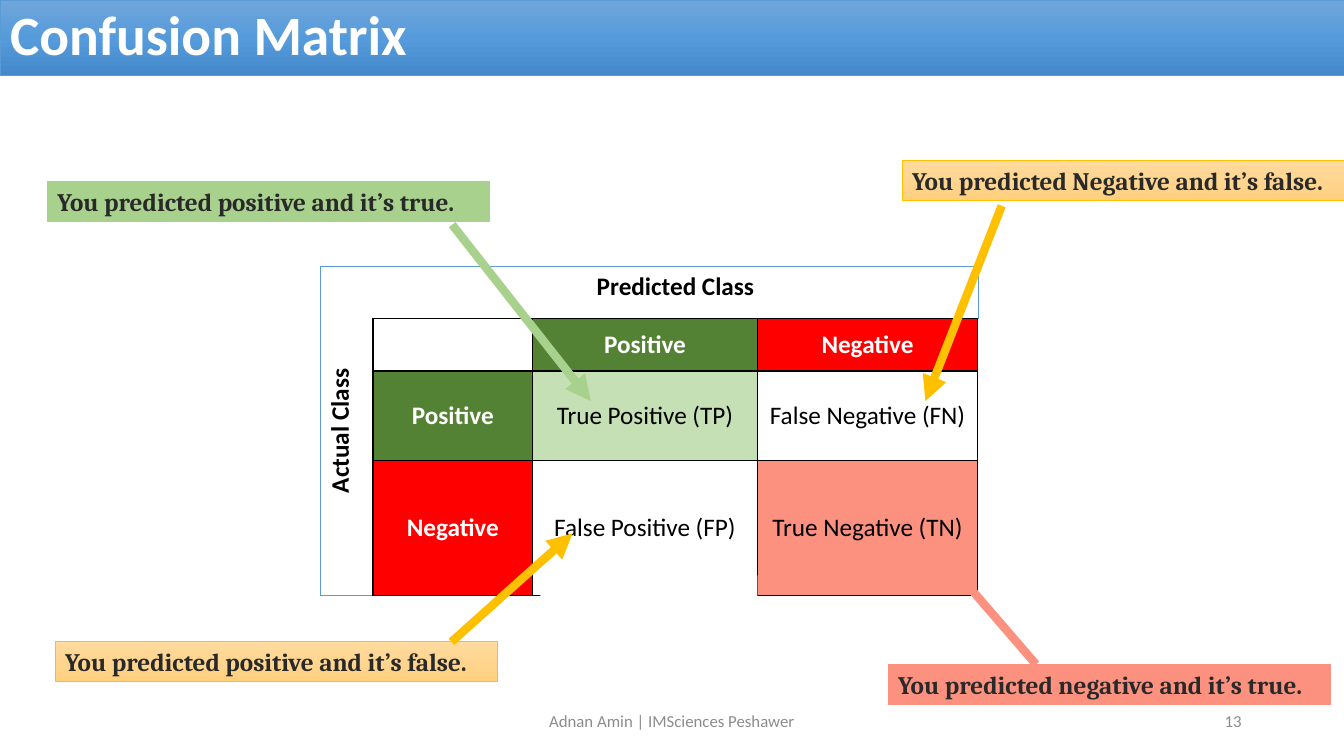
from copy import deepcopy
from lxml import etree
from pptx import Presentation
from pptx.dml.color import RGBColor as RGB
from pptx.enum.shapes import MSO_CONNECTOR as CONN, MSO_SHAPE as SHAPE
from pptx.enum.text import MSO_ANCHOR as ANCHOR, MSO_AUTO_SIZE as AUTO, PP_ALIGN as ALIGN
from pptx.oxml.ns import qn
from pptx.util import Pt

COLORS = {
    "white": "FFFFFF", "black": "000000", "text": "292929", "gray": "8C8C8C",
    "blue": "5B9BD5", "green": "548235", "red": "FF0000", "tp": "C5E0B4",
    "tn": "FD917F", "lime": "A9D18E", "gold": "FFC000",
}
BLUES = ("71A6DB", "559BDB", "448ACA")
AMBERS = ("FFDB9E", "FFD590", "FFD07C")
NO_STYLE = "{2D5ABB26-0587-4C30-8999-92F81FD0307C}"


def rgb(name):
    """Return the named colour."""
    return RGB.from_string(COLORS[name])


def set_all(obj, fmt):
    """Set every attribute of a format dict on an object."""
    for name, value in fmt.items():
        setattr(obj, name, value)


def write(tf, text, size, color, bold=False, name="Calibri", align=ALIGN.LEFT, **frame):
    """Write one formatted paragraph into a text frame."""
    set_all(tf, {"word_wrap": True, **frame})
    p = tf.paragraphs[0]
    p.alignment = align
    r = p.add_run()
    r.text = text
    set_all(r.font, {"size": Pt(size), "bold": bold, "name": name})
    r.font.color.rgb = rgb(color)
    return p


def paint(sp, fill, line=None):
    """Fill a shape with a named colour or a vertical gradient and outline it."""
    if isinstance(fill, str):
        sp.fill.solid()
        sp.fill.fore_color.rgb = rgb(fill)
    else:
        sp.fill.gradient()
        sp.fill.gradient_angle = 270
        gs = sp._element.spPr.find(".//" + qn("a:gsLst"))
        gs.insert(1, deepcopy(gs[0]))
        for stop, pos, color in zip(sp.fill.gradient_stops, (0, 0.5, 1), fill):
            stop.position = pos
            stop.color.rgb = RGB.from_string(color)
    if line:
        sp.line.color.rgb = rgb(line)
        sp.line.width = Pt(0.5)
    else:
        sp.line.fill.background()


def add_rect(s, box, fill, line=None):
    """Add a flat rectangle."""
    sp = s.shapes.add_shape(SHAPE.RECTANGLE, *map(Pt, box))
    sp.shadow.inherit = False
    paint(sp, fill, line)
    return sp


def add_title(s, box, text):
    """Turn the title placeholder into the banner."""
    sp = s.shapes.title
    set_all(sp, dict(zip(("left", "top", "width", "height"), map(Pt, box))))
    paint(sp, BLUES, "blue")
    p = write(sp.text_frame, text, 39.6, "white", True,
              vertical_anchor=ANCHOR.MIDDLE, auto_size=AUTO.NONE)
    p.line_spacing = 0.9


def add_border(cell, **sides):
    """Draw cell borders given as side=(colour, width)."""
    tcPr = cell._tc.get_or_add_tcPr()
    drawn = [side for side in "LRTB" if side in sides]
    for i, side in enumerate(drawn):
        color, width = sides[side]
        ln = etree.Element(qn(f"a:ln{side}"), w=str(Pt(width)))
        fill = etree.SubElement(ln, qn("a:solidFill"))
        etree.SubElement(fill, qn("a:srgbClr"), val=COLORS[color])
        tcPr.insert(i, ln)


def add_matrix(s, box):
    """Add the confusion matrix with its two merged axis headings."""
    cols, rows = (38, 114, 160.5, 157.5), (37.5, 37.5, 64, 96.5)
    gf = s.shapes.add_table(len(rows), len(cols), *map(Pt, box))
    tbl = gf.table
    set_all(tbl, {"first_row": False, "horz_banding": False})
    gf._element.find(".//" + qn("a:tableStyleId")).text = NO_STYLE
    for col, width in zip(tbl.columns, cols):
        col.width = Pt(width)
    for row, height in zip(tbl.rows, rows):
        row.height = Pt(height)
    tbl.cell(0, 0).merge(tbl.cell(3, 0))
    tbl.cell(0, 1).merge(tbl.cell(0, 3))
    cells = {
        (0, 0): ("Actual Class", "white", "black", True),
        (0, 1): ("Predicted Class", "white", "black", True),
        (1, 2): ("Positive", "green", "white", True),
        (1, 3): ("Negative", "red", "white", True),
        (2, 1): ("Positive", "green", "white", True),
        (2, 2): ("True Positive (TP)", "tp", "black", False),
        (2, 3): ("False Negative (FN)", None, "black", False),
        (3, 1): ("Negative", "red", "white", True),
        (3, 2): ("False Positive (FP)", None, "black", False),
        (3, 3): ("True Negative (TN)", "tn", "black", False),
    }
    outer, inner = ("blue", 0.5), ("black", 1)
    for r in range(len(rows)):
        for c in range(len(cols)):
            cell = tbl.cell(r, c)
            text, fill, color, bold = cells.get((r, c), (None, None, None, None))
            if fill:
                cell.fill.solid()
                cell.fill.fore_color.rgb = rgb(fill)
            else:
                cell.fill.background()
            if text:
                write(cell.text_frame, text, 18, color, bold, align=ALIGN.CENTER)
            heading = r == 0 or c == 0
            set_all(cell, {"margin_left": Pt(5), "margin_right": Pt(5),
                           "vertical_anchor": ANCHOR.TOP if heading else ANCHOR.MIDDLE})
            if c == 0:
                add_border(cell, L=outer, B=outer, **({"T": outer} if r == 0 else {}))
            elif r == 0:
                add_border(cell, T=outer, R=outer, B=inner)
            else:
                add_border(cell, **dict.fromkeys("LRTB", inner))
    tbl.cell(0, 0)._tc.get_or_add_tcPr().set("vert", "vert270")


def add_callout(s, box, text, fill, line, start, end):
    """Add a label and its arrow, whose ends are offsets from the label corner."""
    x, y = box[:2]
    sp = add_rect(s, box, fill, line)
    write(sp.text_frame, text, 18, "text", True, "Cambria", vertical_anchor=ANCHOR.TOP)
    points = [Pt(v) for dx, dy in (start, end) for v in (x + dx, y + dy)]
    cx = s.shapes.add_connector(CONN.STRAIGHT, *points)
    cx.line.width = Pt(6)
    cx.line.color.rgb = rgb(fill if isinstance(fill, str) else line)
    etree.SubElement(cx.line._get_or_add_ln(), qn("a:tailEnd"), type="triangle")
    etree.SubElement(cx._element.spPr, qn("a:effectLst"))


def add_footer(s, box, text, align):
    """Add one grey footer text."""
    tb = s.shapes.add_textbox(*map(Pt, box))
    write(tb.text_frame, text, 12, "gray", align=align, vertical_anchor=ANCHOR.MIDDLE)


def main():
    """Build and save the slide."""
    prs = Presentation()
    set_all(prs, {"slide_width": Pt(960), "slide_height": Pt(540)})
    s = prs.slides.add_slide(prs.slide_layouts[5])
    add_title(s, (0, 0, 960, 54), "Confusion Matrix")
    add_matrix(s, (228.5, 190, 470, 235.5))
    add_rect(s, (386, 411, 155, 54), "white")
    add_footer(s, (318, 500.5, 324, 28.75), "Adnan Amin | IMSciences Peshawer", ALIGN.CENTER)
    add_footer(s, (678, 500.5, 216, 28.75), "13", ALIGN.RIGHT)
    w, h = 315.5, 29
    callouts = [
        (34, 129.5, "You predicted positive and it’s true.", "lime", "gold", (289, 31), (388, 157)),
        (644.5, 114.5, "You predicted Negative and it’s false.", AMBERS, "gold", (71, 32.5), (16.5, 172)),
        (634.5, 474.5, "You predicted negative and it’s true.", "tn", "tn", (105.5, 0), (26.5, -91.5)),
        (39.5, 458, "You predicted positive and it’s false.", AMBERS, "gold", (283, 0.5), (369.5, -77)),
    ]
    for x, y, *parts in callouts:
        add_callout(s, (x, y, w, h), *parts)
    prs.save("out.pptx")


if __name__ == "__main__":
    main()
